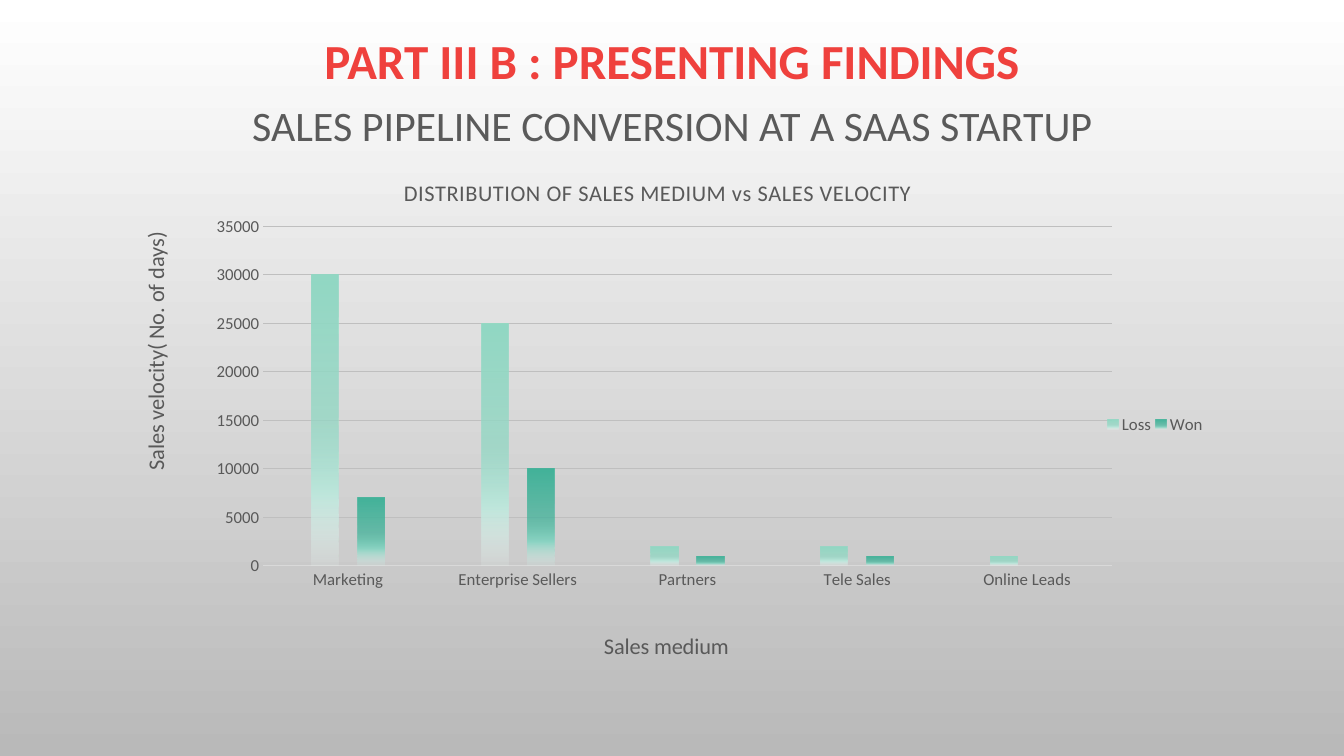
from lxml.etree import SubElement
from pptx import Presentation
from pptx.chart.data import CategoryChartData as ChartData
from pptx.dml.color import RGBColor
from pptx.enum.chart import XL_CHART_TYPE as ChartType
from pptx.enum.chart import XL_LEGEND_POSITION as LegendPosition
from pptx.enum.chart import XL_TICK_MARK as TickMark
from pptx.enum.text import MSO_ANCHOR as Anchor
from pptx.enum.text import PP_ALIGN as Align
from pptx.oxml.ns import qn
from pptx.util import Inches, Pt

RED = RGBColor(0xEF, 0x41, 0x3D)
HEADING_GRAY = RGBColor(0x5A, 0x5A, 0x5A)
LABEL_GRAY = RGBColor(0x59, 0x59, 0x59)
AXIS_GRAY = RGBColor(0xD9, 0xD9, 0xD9)
GRID_GRAY = RGBColor(0xBF, 0xBF, 0xBF)
WHITE = RGBColor(0xFF, 0xFF, 0xFF)
SILVER = RGBColor(0xB9, 0xB9, 0xB9)
MINT = [RGBColor.from_string(c) for c in ("92D8C4", "92D8C4", "BDE7DC", "E9F7F3")]
TEAL = [RGBColor.from_string(c) for c in ("43B39A", "43B39A", "8BD4C3", "D8F1EB")]
FADE = ((0, 100), (51, 75), (75, 100), (100, 15))

MEDIUMS = ["Marketing", "Enterprise Sellers", "Partners", "Tele Sales", "Online Leads"]
OUTCOMES = {
    "Loss": ([30000, 25000, 2000, 2000, 1000], MINT),
    "Won": ([7000, 10000, 1000, 1000, 0], TEAL),
}


class FindingsSlide:
    """Hold the text style and the slide being built."""

    typeface = "Calibri"

    def __init__(self, deck):
        self.slide = deck.slides.add_slide(deck.slide_layouts[5])

    def style(self, font, size, color, bold=False):
        formats = {"name": self.typeface, "size": Pt(size), "bold": bold}
        for attribute, value in formats.items():
            setattr(font, attribute, value)
        font.color.rgb = color

    def background(self, top, bottom):
        fill = self.slide.background.fill
        fill.gradient()
        fill.gradient_angle = 270
        for stop, color in zip(fill.gradient_stops, (top, bottom)):
            stop.color.rgb = color

    def heading(self, box, lines, gap):
        title = self.slide.shapes.title
        title.left, title.top, title.width, title.height = map(Inches, box)
        frame = title.text_frame
        frame.word_wrap = True
        frame.vertical_anchor = Anchor.MIDDLE
        for number, (words, size, color, bold) in enumerate(lines):
            line = frame.add_paragraph() if number else frame.paragraphs[0]
            line.alignment = Align.CENTER
            line.line_spacing = 0.9
            line.space_before = Pt(gap if number else 0)
            run = line.add_run()
            run.text = words
            self.style(run.font, size, color, bold)

    def place(self, parent, index, **fractions):
        for old in parent.findall(qn("c:layout")):
            parent.remove(old)
        layout = SubElement(parent, qn("c:layout"))
        parent.insert(index, layout)
        manual = SubElement(layout, qn("c:manualLayout"))
        if "w" in fractions and index == 0:
            SubElement(manual, qn("c:layoutTarget")).set("val", "inner")
        for mode in ("xMode", "yMode"):
            SubElement(manual, qn(f"c:{mode}")).set("val", "edge")
        for key, value in fractions.items():
            SubElement(manual, qn(f"c:{key}")).set("val", str(value))

    def caption(self, title, words, x, y, rotation=0, spacing=0):
        frame = title.text_frame
        run = frame.paragraphs[0].add_run()
        run.text = words
        self.style(run.font, 16, LABEL_GRAY)
        run.font._element.set("spc", str(spacing))
        frame._txBody.bodyPr.set("rot", str(rotation * 60000))
        self.place(title._element, 1, x=x, y=y)

    def fade(self, series, colors):
        fill = series.format.fill
        fill.gradient()
        fill.gradient_angle = 270
        stops = next(series._element.iter(qn("a:gsLst")))
        for old in list(stops):
            stops.remove(old)
        for (position, alpha), color in zip(FADE, colors):
            stop = SubElement(stops, qn("a:gs"))
            stop.set("pos", str(position * 1000))
            shade = SubElement(stop, qn("a:srgbClr"))
            shade.set("val", str(color))
            if alpha < 100:
                SubElement(shade, qn("a:alpha")).set("val", str(alpha * 1000))

    def columns(self, box, categories, outcomes):
        data = ChartData()
        data.categories = categories
        for name, (values, _) in outcomes.items():
            data.add_series(name, values)
        chart = self.slide.shapes.add_chart(
            ChartType.COLUMN_CLUSTERED, *map(Inches, box), data).chart
        self.style(chart.font, 12, LABEL_GRAY)
        plot = chart.plots[0]
        formats = {"gap_width": 355, "overlap": -70, "vary_by_categories": False}
        for attribute, value in formats.items():
            setattr(plot, attribute, value)
        for series, (_, colors) in zip(plot.series, outcomes.values()):
            self.fade(series, colors)
        self.place(chart._chartSpace.chart.plotArea, 0, x=0.137, y=0.131, w=0.764, h=0.616)
        return chart

    def axes(self, chart):
        medium, velocity = chart.category_axis, chart.value_axis
        for axis in (medium, velocity):
            axis.major_tick_mark = axis.minor_tick_mark = TickMark.NONE
            self.style(axis.tick_labels.font, 12, LABEL_GRAY)
        limits = {"minimum_scale": 0, "maximum_scale": 35000, "major_unit": 5000}
        for attribute, value in limits.items():
            setattr(velocity, attribute, value)
        velocity.format.line.fill.background()
        grid = velocity.major_gridlines.format.line
        for line, color in ((medium.format.line, AXIS_GRAY), (grid, GRID_GRAY)):
            line.width = Pt(0.75)
            line.color.rgb = color
        self.caption(medium.axis_title, "Sales medium", 0.44, 0.857)
        self.caption(velocity.axis_title, "Sales velocity( No. of days)", 0.023, 0.134, -90)

    def legend(self, chart):
        chart.has_legend = True
        legend = chart.legend
        legend.position = LegendPosition.RIGHT
        legend.include_in_layout = False
        self.style(legend.font, 12, LABEL_GRAY)
        self.place(legend._element, 1, x=0.893, y=0.46, w=0.094, h=0.06)


def main():
    deck = Presentation()
    deck.slide_width, deck.slide_height = Inches(13.33), Inches(7.5)
    findings = FindingsSlide(deck)
    findings.background(WHITE, SILVER)
    findings.heading((0.92, 0.33, 11.5, 1.2), [
        ("PART III B : PRESENTING FINDINGS", 35, RED, True),
        ("SALES PIPELINE CONVERSION AT A SAAS STARTUP", 30, HEADING_GRAY, False),
    ], gap=10.5)
    chart = findings.columns((1.1, 1.53, 11.02, 5.47), MEDIUMS, OUTCOMES)
    chart.has_title = True
    findings.caption(chart.chart_title, "DISTRIBUTION OF SALES MEDIUM vs SALES VELOCITY",
                     0.26, 0.036, spacing=50)
    findings.axes(chart)
    findings.legend(chart)
    deck.save("out.pptx")


if __name__ == "__main__":
    main()
